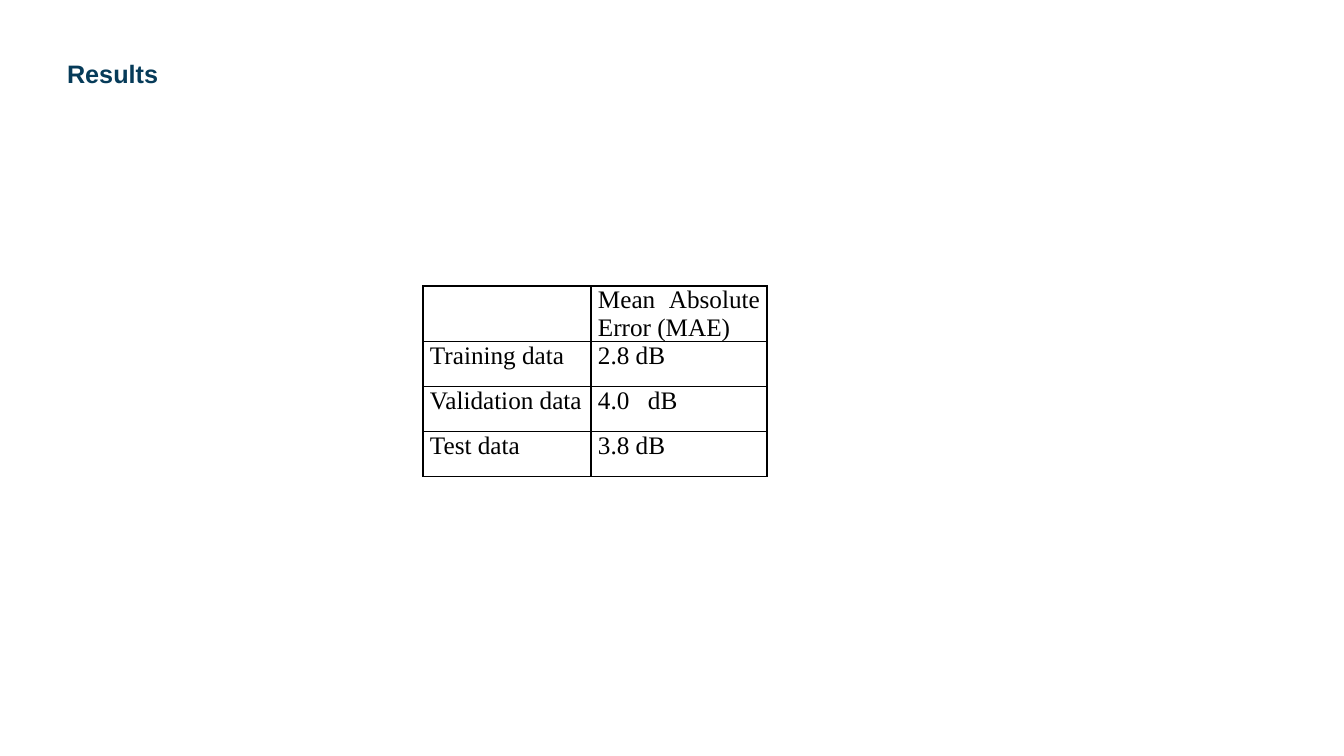
from lxml import etree
from pptx import Presentation
from pptx.dml.color import RGBColor
from pptx.enum.text import MSO_ANCHOR, MSO_AUTO_SIZE, PP_ALIGN
from pptx.oxml.ns import qn
from pptx.util import Emu, Pt

LEFT, JUSTIFY = PP_ALIGN.LEFT, PP_ALIGN.JUSTIFY
TOP = MSO_ANCHOR.TOP
NO_FIT = MSO_AUTO_SIZE.NONE
TITLE_ONLY = 5
PX_PER_INCH = 100.8
COLORS = {"title": "063B59", "text": "000000", "border": "000000"}


def px(n):
    return Emu(round(n * 914400 / PX_PER_INCH))


def write(p, text, font="Times New Roman", size=18, color="text",
          bold=False, align=JUSTIFY, spacing=None, tab=None):
    p.alignment = align
    if spacing:
        p.line_spacing = spacing
    if tab:
        tabs = etree.SubElement(p._p.get_or_add_pPr(), qn("a:tabLst"))
        etree.SubElement(tabs, qn("a:tab"), pos=str(px(tab)), algn="l")
    r = p.add_run()
    r.text = text
    r.font.name, r.font.size, r.font.bold = font, Pt(size), bold
    r.font.color.rgb = RGBColor.from_string(COLORS[color])


class SlideBuilder:
    def __init__(self, prs):
        self.slide = prs.slides.add_slide(prs.slide_layouts[TITLE_ONLY])

    def title(self, text, x, y, w, h):
        sp = self.slide.shapes.title
        sp.left, sp.top, sp.width, sp.height = px(x), px(y), px(w), px(h)
        tf = sp.text_frame
        tf.word_wrap, tf.auto_size, tf.vertical_anchor = True, NO_FIT, TOP
        write(tf.paragraphs[0], text, font="Arial", color="title",
              bold=True, align=LEFT, spacing=0.9)

    def border(self, cell, width=1):
        tcPr = cell._tc.get_or_add_tcPr()
        for i, side in enumerate(("lnL", "lnR", "lnT", "lnB")):
            ln = etree.Element(qn(f"a:{side}"), w=str(Pt(width)))
            fill = etree.SubElement(ln, qn("a:solidFill"))
            etree.SubElement(fill, qn("a:srgbClr"), val=COLORS["border"])
            tcPr.insert(i, ln)

    def table(self, rows, x, y, col_widths, row_height, tab):
        shape = self.slide.shapes.add_table(
            len(rows), len(col_widths), px(x), px(y),
            px(sum(col_widths)), px(row_height * len(rows)))
        table = shape.table
        table.first_row = table.horz_banding = False
        for column, width in zip(table.columns, col_widths):
            column.width = px(width)
        for i, values in enumerate(rows):
            table.rows[i].height = px(row_height)
            for j, value in enumerate(values):
                cell = table.cell(i, j)
                cell.margin_left = cell.margin_right = px(7)
                cell.margin_top = cell.margin_bottom = 0
                cell.vertical_anchor = TOP
                cell.fill.background()
                self.border(cell)
                if value:
                    write(cell.text_frame.paragraphs[0], value,
                          tab=tab if "\t" in value else None)


def main():
    prs = Presentation()
    prs.slide_width, prs.slide_height = px(1344), px(756)
    s = SlideBuilder(prs)

    # Heading
    s.title("Results", 57, 57, 1156, 87)

    # Error per data set
    s.table([
        ("", "Mean Absolute Error (MAE)"),
        ("Training data", "2.8 dB"),
        ("Validation data", "4.0\tdB"),
        ("Test data", "3.8 dB"),
    ], 423, 286, (168, 176), 45, tab=50)

    prs.save("out.pptx")


if __name__ == "__main__":
    main()
